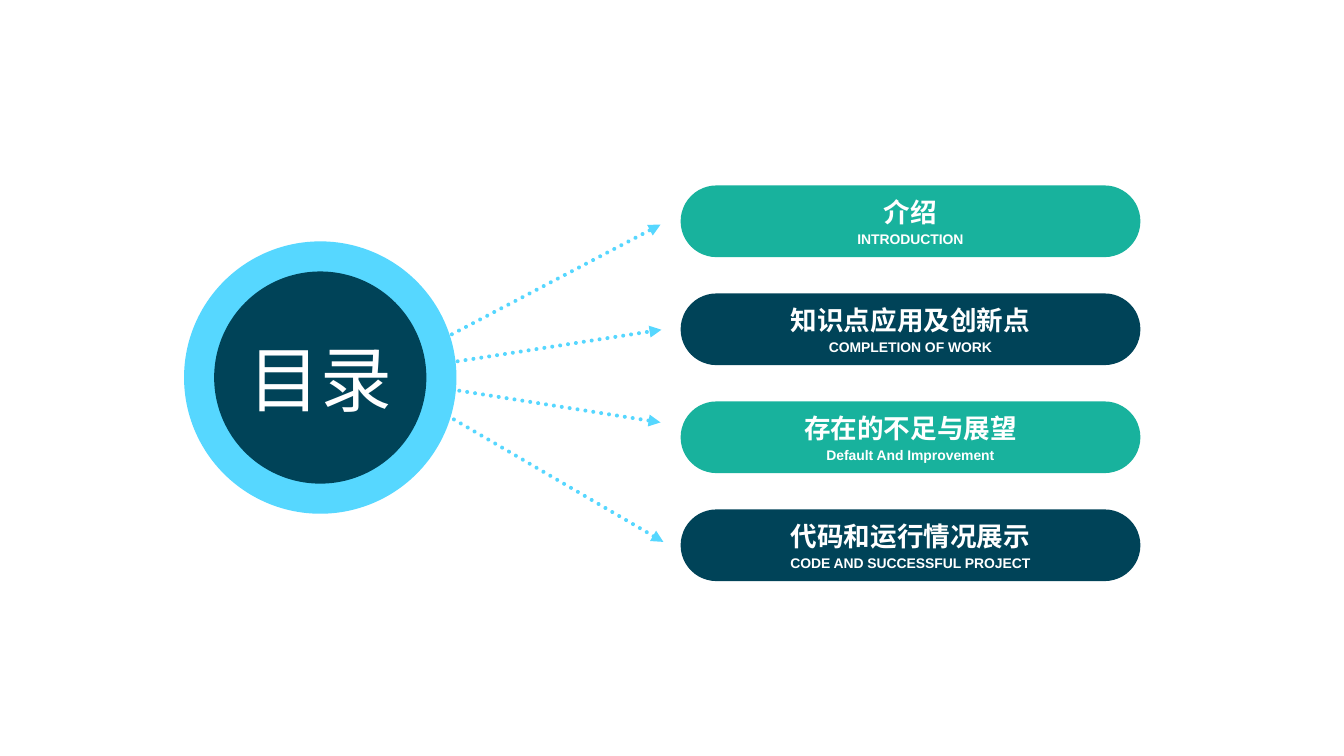
from lxml.etree import SubElement
from pptx import Presentation
from pptx.dml.color import RGBColor
from pptx.enum.dml import MSO_LINE
from pptx.enum.shapes import MSO_CONNECTOR, MSO_SHAPE
from pptx.enum.text import MSO_ANCHOR, PP_ALIGN
from pptx.oxml.ns import qn
from pptx.util import Inches, Pt

WIDE, HIGH = 14.06, 7.91
SKY = RGBColor(0x56, 0xD7, 0xFF)
NAVY = RGBColor(0x00, 0x43, 0x58)
TEAL = RGBColor(0x18, 0xB2, 0x9D)
WHITE = RGBColor(0xFF, 0xFF, 0xFF)

TITLE = "目录"
TOPICS = [
    ("介绍", "INTRODUCTION"),
    ("知识点应用及创新点", "COMPLETION OF WORK"),
    ("存在的不足与展望", "Default And Improvement"),
    ("代码和运行情况展示", "CODE AND SUCCESSFUL PROJECT"),
]
ARROWS = [
    ((4.21, 3.77), (6.91, 2.35)),
    ((4.21, 3.87), (6.92, 3.45)),
    ((4.31, 4.01), (6.91, 4.42)),
    ((4.46, 4.22), (6.94, 5.67)),
]
PILL_X, PILL_Y, PILL_W, PILL_H, PITCH = 7.12, 1.94, 4.81, 0.75, 1.13
HUB_X, HUB_Y = 3.35, 3.95
DISCS = [(2.85, SKY, []), (2.22, NAVY, [(TITLE, 54, False)])]


def add_block(slide, kind, box, fill, lines):
    """Add a filled shape holding centred lines of (text, size, bold)."""
    shape = slide.shapes.add_shape(kind, *map(Inches, box))
    shape.shadow.inherit = False
    shape.fill.solid()
    shape.fill.fore_color.rgb = fill
    shape.line.fill.background()
    frame = shape.text_frame
    frame.word_wrap = True
    frame.vertical_anchor = MSO_ANCHOR.MIDDLE
    frame.margin_left = frame.margin_right = 0
    frame.margin_top = frame.margin_bottom = 0
    for row, (text, size, bold) in enumerate(lines):
        para = frame.add_paragraph() if row else frame.paragraphs[0]
        para.text = text
        para.alignment = PP_ALIGN.CENTER
        para.space_before = Pt(size * 0.2 if bold else 0)
        font = para.font
        font.name, font.size, font.bold = "Arial", Pt(size), bold
        font.color.rgb = WHITE
    return shape


def add_arrow(slide, start, end):
    """Add a dotted arrow."""
    arrow = slide.shapes.add_connector(
        MSO_CONNECTOR.STRAIGHT, *map(Inches, start + end))
    arrow.line.color.rgb = SKY
    arrow.line.width = Pt(3)
    arrow.line.dash_style = MSO_LINE.ROUND_DOT
    props = arrow._element.spPr
    stroke = props.find(qn("a:ln"))
    stroke.set("cap", "rnd")
    SubElement(stroke, qn("a:tailEnd"), type="triangle")
    SubElement(props, qn("a:effectLst"))


def main():
    """Build the contents slide."""
    deck = Presentation()
    deck.slide_width, deck.slide_height = Inches(WIDE), Inches(HIGH)
    slide = deck.slides.add_slide(deck.slide_layouts[6])
    for start, end in ARROWS:
        add_arrow(slide, start, end)
    for row, (name, label) in enumerate(TOPICS):
        box = (PILL_X, PILL_Y + row * PITCH, PILL_W, PILL_H)
        pill = add_block(slide, MSO_SHAPE.ROUNDED_RECTANGLE, box,
                         NAVY if row % 2 else TEAL,
                         [(name, 20, True), (label, 10.5, True)])
        pill.adjustments[0] = 0.5
    for size, fill, lines in DISCS:
        box = (HUB_X - size / 2, HUB_Y - size / 2, size, size)
        add_block(slide, MSO_SHAPE.OVAL, box, fill, lines)
    deck.save("out.pptx")


if __name__ == "__main__":
    main()
